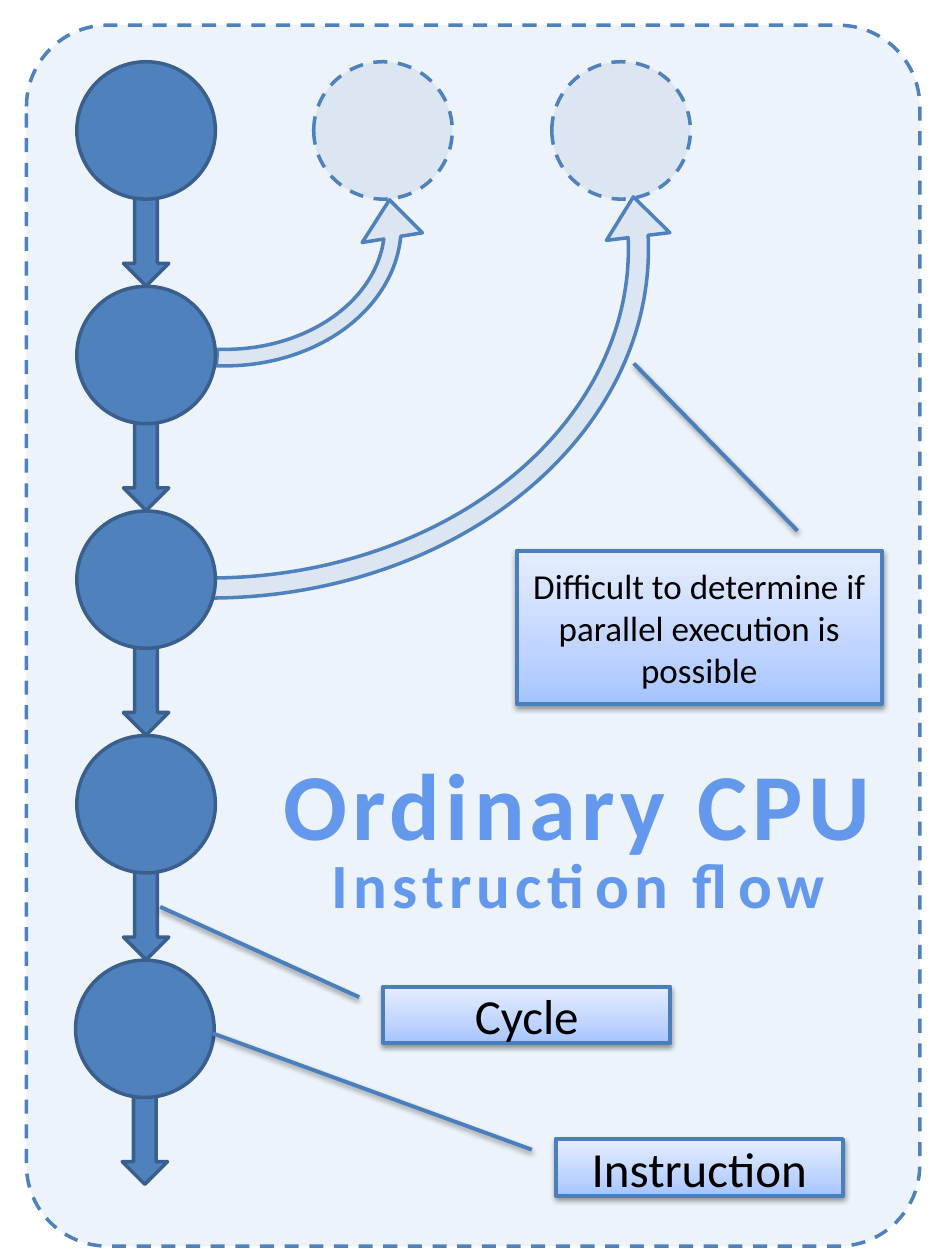
import dataclasses
import typing

import pptx
import pptx.dml.color
import pptx.enum.dml
import pptx.enum.shapes
import pptx.enum.text
import pptx.oxml
import pptx.oxml.ns
import pptx.util

Inches = pptx.util.Inches
Pt = pptx.util.Pt
SHAPES = pptx.enum.shapes.MSO_SHAPE
COLOURS = {
    "panel": "C6D9F1", "step": "4F81BD", "step_line": "3A5F8C",
    "parallel": "DCE6F2", "callout_line": "4B7EBC", "text": "000000",
    "title_top": "6398ED", "title_bottom": "265EA0", "title_edge": "F4F6F9",
    "callout_low": "A4C4FF", "callout_middle": "BFD4FF", "callout_high": "E6EEFF",
}
NAMESPACE = 'xmlns:a="http://schemas.openxmlformats.org/drawingml/2006/main"'
CALLOUT_STOPS = ((0, "callout_low"), (35, "callout_middle"), (100, "callout_high"))
TITLE_STOPS = ((10, "title_top"), (75, "title_bottom"))


@dataclasses.dataclass(frozen=True)
class Box:
    """A position and size in inches."""
    left: float
    top: float
    width: float
    height: float

    def lengths(self) -> list:
        """Return the four values as lengths."""
        return [Inches(value) for value in dataclasses.astuple(self)]


@dataclasses.dataclass(frozen=True)
class Label:
    """A callout or a title; only callouts have adjustments."""
    text: str
    box: Box
    size: int
    adjustments: tuple = ()


@dataclasses.dataclass(frozen=True)
class Curve:
    """A curved arrow to a parallel instruction."""
    box: Box
    adjustments: tuple


STEP_COUNT, FIRST_TOP, LAST_TOP = 5, 0.49, 7.62
CIRCLE_WIDTH, CIRCLE_HEIGHT = 1.1, 1.09
PARALLEL_LEFTS = (2.49, 4.38)
CURVES = (
    Curve(Box(0.21, 0.51, 3.15, 2.57), (0.051, 7.826, 213.648, 159.916, 0.094)),
    Curve(Box(-2, -0.97, 7.32, 5.89), (0.027, 3.198, 0.993, 162.163, 0.043)),
)
CALLOUTS = (
    Label("Instruction", Box(4.41, 9.04, 2.28, 0.45), 28, (0.188, -0.083, -1.866, -1.194)),
    Label("Cycle", Box(3.04, 7.83, 2.28, 0.45), 28, (0.188, -0.083, -1.407, -0.776)),
    Label("Difficult to determine if parallel execution is possible",
          Box(4.1, 4.37, 2.9, 1.22), 20, (-0.129, 0.769, -1.218, 0.321)),
)
TITLES = (
    Label("Ordinary CPU", Box(2.1, 5.87, 4.96, 1.01), 54),
    Label("Instruction flow", Box(2.49, 6.66, 4.2, 0.71), 36),
)


def colour(name: str) -> pptx.dml.color.RGBColor:
    """Look up a named colour."""
    return pptx.dml.color.RGBColor.from_string(COLOURS[name])


def gradient(stops: tuple, angle: int) -> typing.Any:
    """Build a linear gradient fill element."""
    marks = "".join(
        f'<a:gs pos="{position * 1000}"><a:srgbClr val="{COLOURS[name]}"/></a:gs>'
        for position, name in stops)
    return pptx.oxml.parse_xml(
        f'<a:gradFill {NAMESPACE} rotWithShape="1"><a:gsLst>{marks}</a:gsLst>'
        f'<a:lin ang="{angle * 60000}" scaled="0"/></a:gradFill>')


def shadow(blur: int, distance: int, angle: int, name: str, alpha: int) -> typing.Any:
    """Build an outer shadow element."""
    return pptx.oxml.parse_xml(
        f'<a:outerShdw {NAMESPACE} blurRad="{blur}" dist="{distance}" '
        f'dir="{angle * 60000}" rotWithShape="0"><a:srgbClr val="{COLOURS[name]}">'
        f'<a:alpha val="{alpha * 1000}"/></a:srgbClr></a:outerShdw>')


def add_shape(slide: typing.Any, kind: typing.Any, box: Box, fill: str, line: str,
              adjustments: tuple = (), dashed: bool = False, weight: float = 2) -> typing.Any:
    """Draw a filled and outlined preset shape."""
    shape = slide.shapes.add_shape(kind, *box.lengths())
    shape.shadow.inherit = False
    shape.fill.solid()
    shape.fill.fore_color.rgb = colour(fill)
    shape.line.color.rgb = colour(line)
    shape.line.width = Pt(weight)
    if dashed:
        shape.line.dash_style = pptx.enum.dml.MSO_LINE.DASH
    for index, value in enumerate(adjustments):
        shape.adjustments[index] = value
    return shape


def write(shape: typing.Any, label: Label, bold: bool, wrap: bool) -> typing.Any:
    """Put centred text in a shape and return its run."""
    frame = shape.text_frame
    frame.word_wrap = wrap
    paragraph = frame.paragraphs[0]
    paragraph.alignment = pptx.enum.text.PP_ALIGN.CENTER
    run = paragraph.add_run()
    run.text = label.text
    for name, value in {"name": "Calibri", "size": Pt(label.size), "bold": bold}.items():
        setattr(run.font, name, value)
    return run


def add_panel(slide: typing.Any) -> None:
    """Draw the translucent rounded background."""
    panel = add_shape(slide, SHAPES.ROUNDED_RECTANGLE, Box(0.21, 0.2, 7.09, 9.69),
                      "panel", "step", (0.091,), dashed=True)
    fill_colour = panel.fill._xPr.find(".//" + pptx.oxml.ns.qn("a:srgbClr"))
    fill_colour.append(pptx.oxml.parse_xml(f'<a:alpha {NAMESPACE} val="30000"/>'))


def add_step(slide: typing.Any, index: int) -> None:
    """Draw one instruction circle with its cycle arrow below."""
    left = 0.6 if index == STEP_COUNT - 1 else 0.61
    top = FIRST_TOP + index * (LAST_TOP - FIRST_TOP) / (STEP_COUNT - 1)
    add_shape(slide, SHAPES.DOWN_ARROW, Box(left + 0.37, top + 1.05, 0.36, 0.73),
              "step", "step_line")
    add_shape(slide, SHAPES.OVAL, Box(left, top, CIRCLE_WIDTH, CIRCLE_HEIGHT),
              "step", "step_line")


def add_curve(slide: typing.Any, curve: Curve) -> None:
    """Draw a curved arrow, turned and mirrored to sweep upwards."""
    shape = add_shape(slide, SHAPES.CIRCULAR_ARROW, curve.box, "parallel", "step",
                      curve.adjustments)
    shape.rotation = 180
    shape._element.spPr.xfrm.set("flipH", "1")


def add_callout(slide: typing.Any, label: Label) -> None:
    """Draw a shaded callout with its leader line."""
    shape = add_shape(slide, SHAPES.LINE_CALLOUT_1, label.box, "callout_low",
                      "callout_line", label.adjustments, weight=2.25)
    properties = shape._element.spPr
    properties.replace(properties.find(pptx.oxml.ns.qn("a:solidFill")),
                       gradient(CALLOUT_STOPS, 270))
    properties.find(pptx.oxml.ns.qn("a:effectLst")).append(
        shadow(40000, 20000, 90, "text", 38))
    shape.text_frame.vertical_anchor = pptx.enum.text.MSO_ANCHOR.MIDDLE
    write(shape, label, False, True).font.color.rgb = colour("text")


def add_title(slide: typing.Any, label: Label) -> None:
    """Write a spaced title with gradient letters and a soft shadow."""
    shape = slide.shapes.add_textbox(*label.box.lengths())
    run = write(shape, label, True, False)
    shape.text_frame.auto_size = pptx.enum.text.MSO_AUTO_SIZE.SHAPE_TO_FIT_TEXT
    properties = run._r.get_or_add_rPr()
    properties.set("spc", "300")
    outline = pptx.oxml.parse_xml(
        f'<a:ln {NAMESPACE} w="11430"><a:solidFill>'
        f'<a:srgbClr val="{COLOURS["title_edge"]}"/></a:solidFill></a:ln>')
    effects = pptx.oxml.parse_xml(f'<a:effectLst {NAMESPACE}/>')
    effects.append(shadow(25400, 12700, 45, "title_top", 50))
    for position, element in enumerate((outline, gradient(TITLE_STOPS, 90), effects)):
        properties.insert(position, element)


def main() -> None:
    """Build and save the slide."""
    presentation = pptx.Presentation()
    presentation.slide_width, presentation.slide_height = Inches(7.5), Inches(10)
    slide = presentation.slides.add_slide(presentation.slide_layouts[6])
    add_panel(slide)
    for left in PARALLEL_LEFTS:
        add_shape(slide, SHAPES.OVAL, Box(left, FIRST_TOP, CIRCLE_WIDTH, CIRCLE_HEIGHT),
                  "parallel", "step", dashed=True)
    for curve in CURVES:
        add_curve(slide, curve)
    for index in range(STEP_COUNT):
        add_step(slide, index)
    for callout in CALLOUTS:
        add_callout(slide, callout)
    for title in TITLES:
        add_title(slide, title)
    presentation.save("out.pptx")


main()
